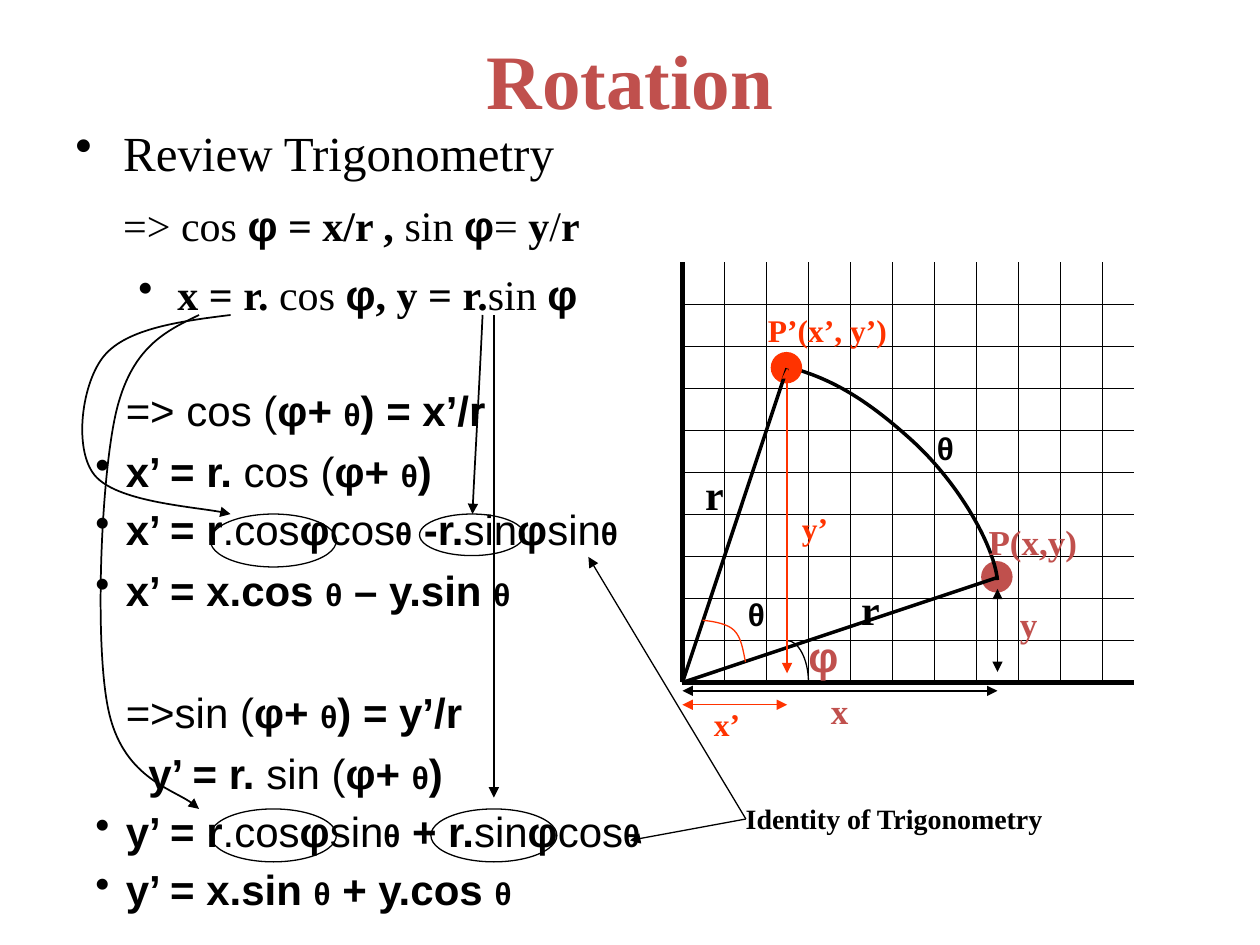
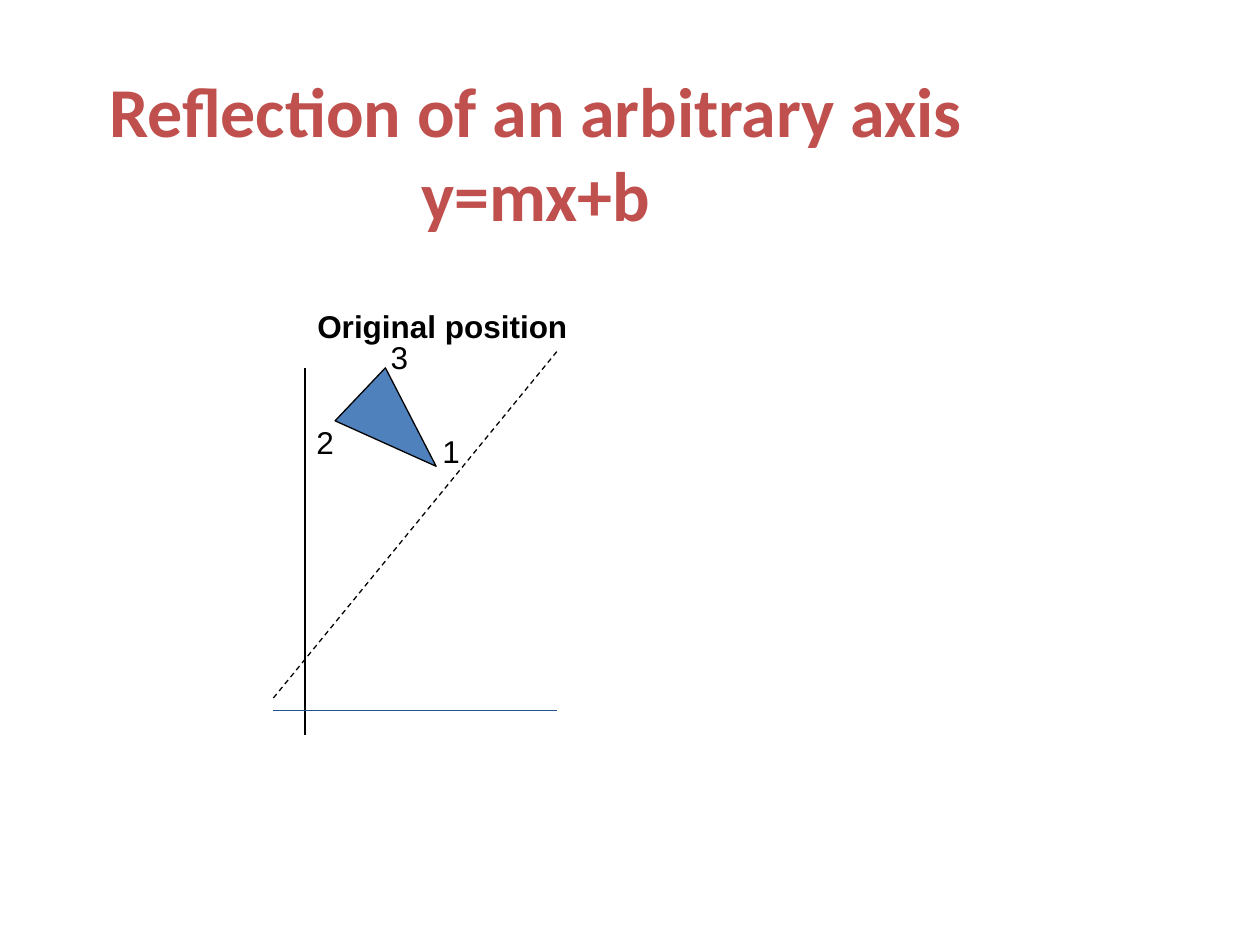
from dataclasses import dataclass
from itertools import groupby

from lxml import etree
from pptx import Presentation
from pptx.dml.color import RGBColor
from pptx.enum.dml import MSO_LINE
from pptx.enum.shapes import MSO_CONNECTOR, MSO_SHAPE
from pptx.enum.text import MSO_ANCHOR, PP_ALIGN
from pptx.oxml.ns import qn
from pptx.util import Inches, Pt

STRAIGHT = MSO_CONNECTOR.STRAIGHT
OVAL, TRIANGLE = MSO_SHAPE.OVAL, MSO_SHAPE.ISOSCELES_TRIANGLE
DASH = MSO_LINE.DASH
TOP, MIDDLE, BOTTOM = MSO_ANCHOR.TOP, MSO_ANCHOR.MIDDLE, MSO_ANCHOR.BOTTOM
LEFT, CENTER = PP_ALIGN.LEFT, PP_ALIGN.CENTER


@dataclass(frozen=True)
class Theme:
    """Colours, fonts and sizes shared by the slides."""
    black: RGBColor = RGBColor(0x00, 0x00, 0x00)
    accent: RGBColor = RGBColor(0xC0, 0x50, 0x4D)
    turned: RGBColor = RGBColor(0xFF, 0x33, 0x00)
    triangle: RGBColor = RGBColor(0x4F, 0x81, 0xBD)
    axis: RGBColor = RGBColor(0x23, 0x51, 0x8B)
    serif: str = "Times New Roman"
    sans: str = "Arial"
    heading: str = "Calibri"
    title: int = 44
    long_title: int = 40
    lead: int = 28
    formula: int = 24
    coordinate: int = 20
    label: int = 18
    note: int = 16
    thin: float = 0.75
    flow: float = 1
    radius: float = 2
    frame: float = 3


THEME = Theme()


def set_font(font, size, name, color, bold=None):
    """Style a paragraph font."""
    font.size, font.name, font.bold = Pt(size), name, bold
    font.color.rgb = color


def add_heads(shape, head, tail):
    """Put triangle arrowheads on the chosen ends of a line."""
    outline = shape.element.find(".//" + qn("a:ln"))
    for wanted, tag in ((head, "a:headEnd"), (tail, "a:tailEnd")):
        if wanted:
            etree.SubElement(outline, qn(tag), type="triangle")


def set_indent(para, margin, hanging, bullet):
    """Indent a paragraph and give it a bullet or none."""
    properties = para._p.get_or_add_pPr()
    properties.set("marL", str(Inches(margin)))
    properties.set("indent", str(-Inches(hanging)))
    if bullet:
        color = etree.SubElement(properties, qn("a:buClr"))
        etree.SubElement(color, qn("a:srgbClr"), val=str(THEME.black))
        etree.SubElement(properties, qn("a:buChar"), char="•")
    else:
        etree.SubElement(properties, qn("a:buNone"))


def add_formula(para, formula):
    """Write a formula in which asterisks switch bold on and off."""
    for index, part in enumerate(formula.split("*")):
        for greek, letters in groupby(part, lambda letter: letter if letter in "φθ" else ""):
            span = para.add_run()
            span.text = "".join(letters)
            span.font.bold = bool(greek) or index % 2 == 1
            if greek:
                span.font.name = THEME.sans
            if greek == "θ":
                span.font.size = Pt(THEME.label)


@dataclass
class Region:
    """A box on a page; its parts are placed from the box's top left corner."""
    page: object
    left: float
    top: float
    width: float
    height: float

    def place(self, x, y):
        """Turn an offset in inches into a place on the page."""
        return Inches(self.left + x), Inches(self.top + y)

    def frame(self, x=0, y=0, width=None, height=None, anchor=TOP, wrap=True):
        """Add a text box and return its text frame."""
        box = self.page.shapes.add_textbox(
            *self.place(x, y), Inches(width or self.width), Inches(height or self.height))
        box.text_frame.word_wrap = wrap
        box.text_frame.vertical_anchor = anchor
        return box.text_frame

    def label(self, text, x, y, width, height, size=THEME.label, name=THEME.serif,
              color=THEME.black, bold=True, align=LEFT, anchor=TOP, wrap=False):
        """Add a text in one style."""
        para = self.frame(x, y, width, height, anchor, wrap).paragraphs[0]
        para.alignment = align
        set_font(para.font, size, name, color, bold)
        para.add_run().text = text

    def line(self, start, end, color=THEME.black, width=THEME.thin,
             head=False, tail=False, dash=None):
        """Add a straight line between two offsets."""
        line = self.page.shapes.add_connector(STRAIGHT, *self.place(*start), *self.place(*end))
        line.line.color.rgb, line.line.width = color, Pt(width)
        if dash:
            line.line.dash_style = dash
        add_heads(line, head, tail)
        etree.SubElement(line.element.spPr, qn("a:effectLst"))

    def curve(self, points, color=THEME.black, width=THEME.thin, tail=False):
        """Add an open curve: a start, then three Bezier points per segment."""
        places = [self.place(*point) for point in points]
        builder = self.page.shapes.build_freeform(*places[0])
        builder.add_line_segments(places[1:], close=False)
        shape = builder.convert_to_shape()
        path = shape.element.find(".//" + qn("a:path"))
        steps = path.findall(qn("a:lnTo"))
        for first in range(0, len(steps), 3):
            bend = etree.SubElement(path, qn("a:cubicBezTo"))
            for step in steps[first:first + 3]:
                bend.append(step[0])
                path.remove(step)
        shape.fill.background()
        shape.line.color.rgb, shape.line.width = color, Pt(width)
        shape.shadow.inherit = False
        add_heads(shape, False, tail)

    def shape(self, kind, x, y, width, height, fill=None, line=None):
        """Add a preset shape with an optional fill and outline."""
        shape = self.page.shapes.add_shape(
            kind, *self.place(x, y), Inches(width), Inches(height))
        shape.shadow.inherit = False
        if fill is None:
            shape.fill.background()
        else:
            shape.fill.solid()
            shape.fill.fore_color.rgb = fill
        if line is None:
            shape.line.fill.background()
        else:
            shape.line.color.rgb, shape.line.width = line, Pt(THEME.thin)
        return shape

    def dot(self, center, color):
        """Add a quarter-inch dot around a center."""
        x, y = center
        self.shape(OVAL, x - 0.13, y - 0.13, 0.25, 0.25, fill=color)


def add_title(region, text, size, name, anchor):
    """Fill a region with a slide title."""
    region.label(text, 0, 0, region.width, region.height, size, name,
                 THEME.accent, align=CENTER, anchor=anchor, wrap=True)


def add_formulas(region, name, rows):
    """Fill a region with formula rows: text, size, margin, hanging, bullet, gap."""
    frame = region.frame()
    for index, (formula, size, margin, hanging, bullet, gap) in enumerate(rows):
        para = frame.add_paragraph() if index else frame.paragraphs[0]
        set_indent(para, margin, hanging, bullet)
        if index:
            para.space_before = Pt(gap)
        set_font(para.font, size, name, THEME.black)
        add_formula(para, formula)


def add_review(region):
    """List the definitions of sine and cosine."""
    add_formulas(region, THEME.serif, (
        ("Review Trigonometry", THEME.lead, 0.38, 0.38, True, 0),
        ("=> cos φ* = x/r , *sin φ= *y*/*r*", THEME.formula, 0.38, 0, False, 10.5),
        ("*x = r. *cos φ*, y = r.*sin φ", THEME.formula, 0.81, 0.31, True, 10.5)))


def add_derivation(region):
    """List the steps that lead to the rotated coordinates."""
    wide, tight, section = 6, 4.5, 41
    steps = (
        ("=> cos (*φ+ θ) = x’/r*", 0.5, False, wide),
        ("*x’ = r.* cos (*φ+ θ)*", 0.5, True, wide),
        ("*x’ = r*.cosφcosθ* -r.*sinφsinθ", 0.5, True, tight),
        ("*x’ = x.cos θ – y.sin θ*", 0.5, True, wide),
        ("=>sin (*φ+ θ) = y’/r*", 0.5, False, section),
        ("*y’ = r.* sin (*φ+ θ)*", 0.68, False, wide),
        ("*y’ = r*.cosφsinθ* + r.*sinφcosθ", 0.5, True, tight),
        ("*y’ = x.sin θ + y.cos θ*", 0.5, True, tight))
    add_formulas(region, THEME.sans, [
        (formula, THEME.formula, margin, 0.24 if bullet else 0, bullet, gap)
        for formula, margin, bullet, gap in steps])


def add_substitutions(region):
    """Circle the replaced terms and link them to their definitions."""
    for x, y, width, height in ((1.09, 1.58, 1, 0.42), (2.75, 1.58, 0.83, 0.33),
                                (1.09, 3.92, 1, 0.42), (2.84, 3.92, 1, 0.42)):
        region.shape(OVAL, x, y, width, height, line=THEME.black)
    for points in (
            ((1.25, 0), (0.84, 0.05), (0.43, 0.11), (0.25, 0.32),
             (0.07, 0.53), (0, 1.06), (0.17, 1.27), (0.34, 1.48), (1.07, 1.53), (1.25, 1.58)),
            ((3.25, 0), (3.22, 0.66), (3.18, 1.32), (3.17, 1.58)),
            ((1, 0), (0.73, 0.13), (0.46, 0.26), (0.34, 0.78),
             (0.22, 1.31), (0.17, 2.61), (0.28, 3.13), (0.39, 3.66), (0.88, 3.79), (1, 3.92))):
        region.curve(points, width=THEME.flow, tail=True)
    region.line((3.34, 0), (3.34, 3.83), tail=True)


def add_identity_note(region):
    """Name the identity and point at the two rows that use it."""
    region.label("Identity of Trigonometry", 0, 0, region.width, region.height, THEME.note)
    for end in ((-1.15, -1.89), (-0.82, 0.36)):
        region.line((0.1, 0.19), end, tail=True)


def add_rotation_plot(region):
    """Draw the grid, the point, its rotated position and their measures."""
    width, height, cell = region.width, region.height, 1 / 3
    origin, point, turned = (0, height), (2.5, 2.5), (0.83, 0.84)
    region.line((0, 0), origin, width=THEME.frame)
    region.line(origin, (width, height), width=THEME.frame)
    for column in range(1, 11):
        region.line((column * cell, 0), (column * cell, height))
    for row in range(1, 10):
        region.line((0, row * cell), (width, row * cell))

    region.dot(point, THEME.accent)
    region.curve(((2.5, 2.52), (2.47, 2.23), (2.18, 1.74), (1.83, 1.42),
                  (1.48, 1.1), (1.16, 0.91), (0.84, 0.83)), width=THEME.radius, tail=True)
    region.curve(((0.83, 3), (0.92, 3), (1, 3.15), (1, height)))
    region.line((2.5, 2.59), (2.5, 3.25), head=True, tail=True)
    region.line(origin, point, width=THEME.radius)
    region.line((0, 3.4), (2.5, 3.4), head=True, tail=True)

    region.dot(turned, THEME.turned)
    region.line(origin, turned, width=THEME.radius)
    region.line(turned, (0.83, 3.26), THEME.turned, head=True, tail=True)
    region.curve(((0.5, 3.17), (0.48, 3.08), (0.47, 2.98), (0.41, 2.92),
                  (0.36, 2.87), (0.26, 2.85), (0.16, 2.84)), THEME.turned)
    region.line((0, 3.51), (0.83, 3.51), THEME.turned, head=True, tail=True)

    for x, y in ((1.92, 1.27), (0.42, 2.59)):
        region.label("θ", x, y, 0.33, 0.4, name=THEME.sans)
    for x, y in ((1.32, 2.5), (0.08, 1.59)):
        region.label("r", x, y, 0.35, 0.5, THEME.formula)
    region.label("φ", 0.9, 2.87, 0.45, 0.5, THEME.formula, THEME.sans, THEME.accent)
    for text, x, y, span in (("P(x,y)", 2.33, 2, 0.95), ("x", 1.08, 3.34, 0.34),
                             ("y", 2.58, 2.65, 0.34)):
        region.label(text, x, y, span, 0.44, THEME.coordinate, color=THEME.accent)
    for text, x, y, span in (("x’", 0.15, 3.46, 0.41), ("y’", 0.85, 1.91, 0.41),
                             ("P’(x’, y’)", 0.58, 0.34, 1.4)):
        region.label(text, x, y, span, 0.4, color=THEME.turned, wrap=True)


def add_reflection_plot(region):
    """Draw the axes, the mirror line and the numbered triangle."""
    region.line((0.25, 0.53), (0.25, 3.44))
    triangle = region.shape(TRIANGLE, 0.7, 0.61, 0.58, 0.83, THEME.triangle, THEME.black)
    triangle.rotation = 133.5
    for corner, x, y in (("3", 0.75, 0.24), ("2", 0.16, 0.92), ("1", 1.16, 0.99)):
        region.label(corner, x, y, 0.5, 0.4, name=THEME.sans, bold=False,
                     align=CENTER, wrap=True)
    region.label("Original position", 0.25, 0, 3.17, 0.4, name=THEME.sans, wrap=True)
    region.line((0, 3.15), (2.25, 0.4), dash=DASH)
    region.line((0, 3.25), (2.25, 3.25), THEME.axis)


def build_rotation(page):
    """Build the slide that derives rotation."""
    add_title(Region(page, 0.75, 0, 8.5, 1.25), "Rotation", THEME.title, THEME.serif, MIDDLE)
    add_review(Region(page, 0.5, 0.92, 4.83, 1.75))
    add_rotation_plot(Region(page, 65 / 12, 25 / 12, 43 / 12, 10 / 3))
    add_derivation(Region(page, 0.4, 3, 5.2, 4.31))
    add_substitutions(Region(page, 0.58, 2.5, 3.84, 4.34))
    add_identity_note(Region(page, 5.82, 6.31, 2.66, 0.36))


def build_reflection(page):
    """Build the slide on reflection about a line."""
    add_title(Region(page, 0, 0.67, 8.5, 1.25), "Reflection of an arbitrary axis y=mx+b",
              THEME.long_title, THEME.heading, BOTTOM)
    add_reflection_plot(Region(page, 2.17, 2.39, 3.42, 3.44))


def main():
    """Build and save the deck."""
    deck = Presentation()
    deck.slide_width, deck.slide_height = Inches(10), Inches(7.5)
    for build in (build_rotation, build_reflection):
        build(deck.slides.add_slide(deck.slide_layouts[6]))
    deck.save("out.pptx")


if __name__ == "__main__":
    main()
